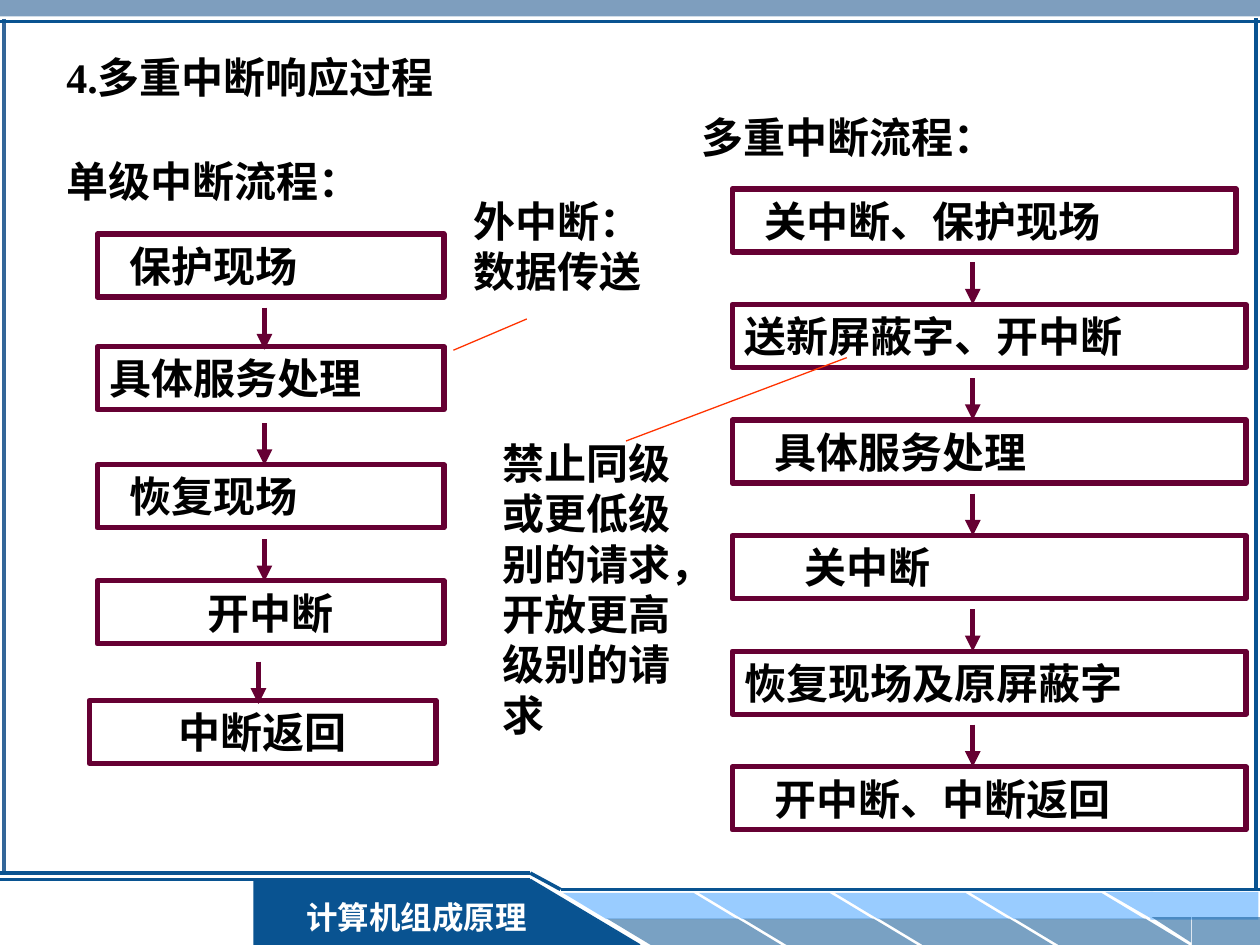
import pptx
import pptx.util
import pptx.dml.color
import pptx.enum.shapes
import pptx.enum.text
import pptx.oxml.ns
from lxml import etree
from pptx.util import Cm

KINDS = pptx.enum.shapes.MSO_SHAPE
ALIGN = pptx.enum.text.PP_ALIGN
HAN_FONT = "Noto Sans CJK SC"
NAVY, SKY, PLUM, RED = "095391", "99CCFF", "660033", "FF3300"
STEEL, BLACK, WHITE = "336699", "000000", "FFFFFF"


def color(value):
    return pptx.dml.color.RGBColor.from_string(value)


def add_element(parent, name, **attributes):
    return etree.SubElement(parent, pptx.oxml.ns.qn(name), **attributes)


def write(shape, lines, size=24, font=HAN_FONT, ink=BLACK, align=ALIGN.LEFT,
          indent=0, pitch=1.2, gap=0):
    frame = shape.text_frame
    frame.word_wrap = True
    frame.vertical_anchor = pptx.enum.text.MSO_ANCHOR.TOP
    for index, line in enumerate(lines):
        para = frame.paragraphs[0] if index == 0 else frame.add_paragraph()
        para.text = line
        para.alignment = align
        para.line_spacing = pptx.util.Pt(size * pitch)
        if index:
            para.space_before = pptx.util.Pt(gap)
        if indent:
            para._p.get_or_add_pPr().set("marL", str(Cm(indent)))
        para.font.size = pptx.util.Pt(size)
        para.font.bold = True
        para.font.color.rgb = color(ink)
        para.font.name = font
        add_element(para.font._element, "a:ea", typeface=HAN_FONT)


def add_text(page, left, top, width, height, lines, **style):
    box = page.shapes.add_textbox(Cm(left), Cm(top), Cm(width), Cm(height))
    write(box, lines, **style)


def add_block(page, kind, left, top, width, height, fill, opacity=100):
    block = page.shapes.add_shape(kind, Cm(left), Cm(top), Cm(width), Cm(height))
    block.shadow.inherit = False
    block.line.fill.background()
    block.fill.solid()
    block.fill.fore_color.rgb = color(fill)
    if opacity < 100:
        swatch = block.fill._xPr.find(".//" + pptx.oxml.ns.qn("a:srgbClr"))
        add_element(swatch, "a:alpha", val=str(opacity * 1000))
    return block


def add_line(page, start, end, ink, width, arrow=False):
    line = page.shapes.add_connector(
        pptx.enum.shapes.MSO_CONNECTOR.STRAIGHT,
        Cm(start[0]), Cm(start[1]), Cm(end[0]), Cm(end[1]))
    line.line.color.rgb = color(ink)
    line.line.width = pptx.util.Pt(width)
    if arrow:
        add_element(line.line._get_or_add_ln(), "a:tailEnd", type="triangle")
    add_element(line._element.spPr, "a:effectLst")


def add_step(page, left, top, width, text, indent=0, align=ALIGN.LEFT):
    step = page.shapes.add_shape(KINDS.RECTANGLE, Cm(left), Cm(top), Cm(width), Cm(1.27))
    step.shadow.inherit = False
    step.fill.background()
    step.line.color.rgb = color(PLUM)
    step.line.width = pptx.util.Pt(3)
    write(step, [text], indent=indent, align=align)


def add_arrow(page, x, top):
    add_line(page, (x, top), (x, top + 0.85), PLUM, 3, arrow=True)


def add_ribbon(page):
    add_block(page, KINDS.RECTANGLE, 5.11, 17.73, 5.59, 1.32, NAVY)
    for index in range(4):
        left = 11.35 + 2.74 * index
        for shift, top, fill, opacity in ((0, 18, SKY, 100), (0.89, 18.52, NAVY, 54)):
            tile = add_block(page, KINDS.PARALLELOGRAM, left + shift, top,
                             3.51, 0.53, fill, opacity)
            tile.adjustments[0] = 1.66
            tile._element.spPr.xfrm.set("flipH", "1")
    add_block(page, KINDS.RECTANGLE, 23.19, 17.98, 2.18, 0.56, SKY)
    add_block(page, KINDS.RECTANGLE, 24.03, 18.49, 1.37, 0.56, NAVY, 54)
    add_block(page, KINDS.RIGHT_TRIANGLE, 22.28, 17.98, 0.97, 0.56, SKY).rotation = 180
    add_block(page, KINDS.RIGHT_TRIANGLE, 23.22, 18.49, 0.79, 0.51, NAVY, 54).rotation = 180
    course = add_block(page, KINDS.RECTANGLE, 5.79, 17.98, 5.21, 1.02, NAVY)
    write(course, ["计算机组成原理"], size=18, font="Times New Roman",
          ink=WHITE, align=ALIGN.CENTER)
    add_block(page, KINDS.RIGHT_TRIANGLE, 10.67, 17.73, 2.21, 1.32, NAVY)


def add_frame(page):
    add_block(page, KINDS.RECTANGLE, 0, 0, 25.4, 0.33, STEEL, 63)
    add_line(page, (0.08, 0.38), (0.08, 17.6), STEEL, 2)
    add_ribbon(page)
    for start, end, width in (
            ((12.9, 19.05), (10.69, 17.73), 1),
            ((10.69, 17.73), (0, 17.73), 1.5),
            ((0, 17.6), (10.69, 17.6), 2),
            ((10.69, 17.6), (11.3, 17.93), 2),
            ((11.3, 17.93), (25.4, 17.93), 2),
            ((0, 0.43), (25.4, 0.43), 2),
            ((25.32, 0.36), (25.32, 17.96), 2)):
        add_line(page, start, end, NAVY, width)


def add_single_flow(page):
    add_text(page, 1.09, 3.02, 12.27, 1.27, ["单级中断流程："])
    for left, top, text, indent, align in (
            (1.96, 4.72, "保护现场", 0.4, ALIGN.LEFT),
            (1.96, 6.99, "具体服务处理", 0, ALIGN.LEFT),
            (1.96, 9.37, "恢复现场", 0.4, ALIGN.LEFT),
            (1.96, 11.71, "开中断", 0, ALIGN.CENTER),
            (1.8, 14.12, "中断返回", 0, ALIGN.CENTER)):
        add_step(page, left, top, 6.99, text, indent, align)
    for x, top in ((5.33, 6.2), (5.33, 8.53), (5.33, 10.87), (5.21, 13.34)):
        add_arrow(page, x, top)


def add_multiple_flow(page):
    add_text(page, 13.89, 2.13, 10.41, 1.27, ["多重中断流程："])
    steps = (("关中断、保护现场", 0.4), ("送新屏蔽字、开中断", 0),
             ("具体服务处理", 0.6), ("关中断", 1.2),
             ("恢复现场及原屏蔽字", 0), ("开中断、中断返回", 0.6))
    for index, (text, indent) in enumerate(steps):
        top = 3.81 + 2.33 * index
        add_step(page, 14.76, top, 10.36 if index else 10.16, text, indent)
        if index:
            add_arrow(page, 19.61, top - 0.85)


def add_remarks(page):
    add_text(page, 9.3, 4.32, 4.6, 1.8, ["外中断：", "数据传送"], pitch=0.6, gap=14.4)
    add_text(page, 9.88, 8.69, 4.24, 6.35,
             ["禁止同级或更低级别的请求，开放更高级别的请求"])
    add_line(page, (9.14, 7.06), (10.62, 6.43), RED, 0.75)
    add_line(page, (12.62, 8.89), (17.07, 7.21), RED, 0.75)


def main():
    deck = pptx.Presentation()
    deck.slide_width, deck.slide_height = Cm(25.4), Cm(19.05)
    page = deck.slides.add_slide(deck.slide_layouts[6])
    add_frame(page)
    add_text(page, 1.09, 0.91, 12.27, 1.27, ["4.多重中断响应过程"], font="Times New Roman")
    add_single_flow(page)
    add_multiple_flow(page)
    add_remarks(page)
    deck.save("out.pptx")


if __name__ == "__main__":
    main()
